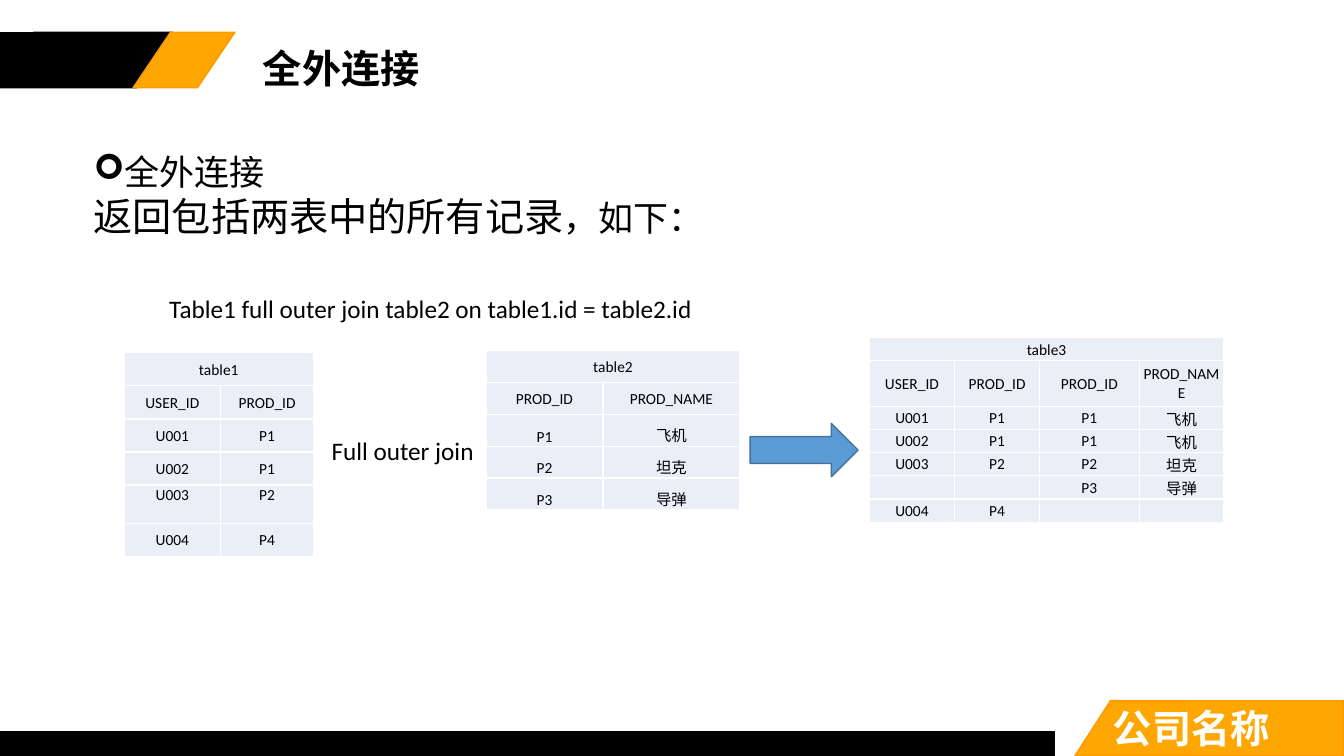
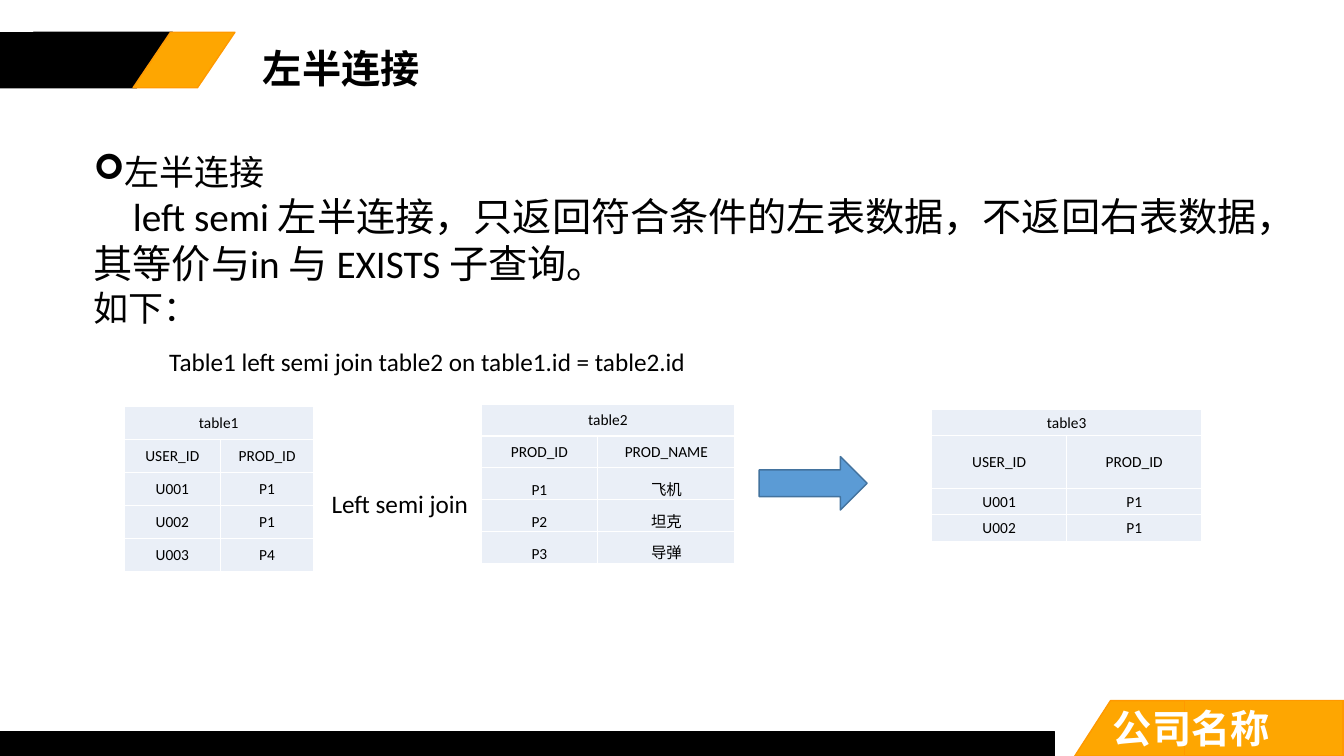
from dataclasses import dataclass, field

from lxml.etree import SubElement
from pptx import Presentation
from pptx.dml.color import RGBColor
from pptx.enum.shapes import MSO_SHAPE as Preset
from pptx.enum.text import MSO_ANCHOR as Anchor, MSO_AUTO_SIZE as AutoSize, PP_ALIGN as Align
from pptx.oxml.ns import qn
from pptx.slide import Slide
from pptx.util import Inches, Pt


@dataclass(frozen=True)
class Theme:
    black: str = "000000"
    white: str = "FFFFFF"
    orange: str = "FEA601"
    orange_edge: str = "FF9900"
    arrow: str = "5B9BD5"
    arrow_edge: str = "43739E"
    cell: str = "EAEFF7"
    body_font: str = "Calibri"
    title_font: str = "Noto Sans CJK SC"
    title_size: int = 28
    lead_size: int = 28
    text_size: int = 25
    label_size: int = 18
    cell_size: int = 11


THEME = Theme()


@dataclass(frozen=True)
class Span:
    text: str
    size: int
    font: str = THEME.body_font
    color: str = THEME.black
    bold: bool = False


@dataclass(frozen=True)
class Line:
    spans: tuple[Span, ...]
    margin: float = 0
    indent: float = 0
    bullet: str = ""
    before: int = 0


@dataclass(frozen=True)
class Figure:
    preset: Preset
    place: tuple[float, float, float, float]
    fill: str
    edge: str
    slant: float | None = None


@dataclass(frozen=True)
class Grid:
    name: str
    left: float
    top: float
    height: float
    columns: tuple[float, ...]
    rows: tuple[tuple[str, ...], ...]
    tall: dict[int, float] = field(default_factory=dict)
    anchors: dict[int, Anchor] = field(default_factory=dict)


@dataclass(frozen=True)
class Lesson:
    title: str
    lines: tuple[Line, ...]
    body_height: float
    join: str
    query_top: float
    arrow_at: tuple[float, float]
    grids: tuple[Grid, ...]


FRAME = (
    Figure(Preset.PARALLELOGRAM, (-0.02, 0.32, 1.73, 0.55), THEME.black, THEME.black, 0.645),
    Figure(Preset.RECTANGLE, (0, 0.32, 1.01, 0.55), THEME.black, THEME.black),
    Figure(Preset.PARALLELOGRAM, (1.32, 0.32, 1.01, 0.55), THEME.orange, THEME.orange_edge, 0.675),
    Figure(Preset.RECTANGLE, (0, 7.26, 10.46, 0.24), THEME.black, THEME.black),
    Figure(Preset.PARALLELOGRAM, (10.66, 6.95, 2.68, 0.55), THEME.orange, THEME.orange_edge, 0.645),
    Figure(Preset.RECTANGLE, (11.75, 6.95, 1.57, 0.55), THEME.orange, THEME.orange_edge),
)


def color_of(code: str) -> RGBColor:
    return RGBColor.from_string(code)


def apply(target: object, formats: dict[str, object]) -> None:
    for name, value in formats.items():
        setattr(target, name, value)


def draw_figure(page: Slide, figure: Figure) -> None:
    shape = page.shapes.add_shape(figure.preset, *map(Inches, figure.place))
    shape.shadow.inherit = False
    shape.fill.solid()
    shape.fill.fore_color.rgb = color_of(figure.fill)
    shape.line.color.rgb = color_of(figure.edge)
    shape.line.width = Pt(1)
    if figure.slant is not None:
        shape.adjustments[0] = figure.slant


def write_span(para, span: Span) -> None:
    run = para.add_run()
    run.text = span.text
    apply(run.font, {"size": Pt(span.size), "name": span.font, "bold": span.bold})
    run.font.color.rgb = color_of(span.color)
    if span.font == THEME.title_font:
        SubElement(run.font._element, qn("a:ea"), typeface=span.font)


def write_line(para, line: Line) -> None:
    if line.before:
        para.space_before = Pt(line.before)
    if line.margin or line.indent:
        properties = para._p.get_or_add_pPr()
        properties.set("marL", str(Inches(line.margin)))
        properties.set("indent", str(Inches(line.indent)))
        if line.bullet:
            SubElement(properties, qn("a:buFont"), typeface="Wingdings")
            SubElement(properties, qn("a:buChar"), char=line.bullet)
    for span in line.spans:
        write_span(para, span)


def draw_text(page: Slide, place: tuple[float, float, float, float], lines: tuple[Line, ...],
              formats: dict[str, object] | None = None) -> None:
    frame = page.shapes.add_textbox(*map(Inches, place)).text_frame
    apply(frame, {"word_wrap": True, "auto_size": AutoSize.SHAPE_TO_FIT_TEXT} | (formats or {}))
    for index, line in enumerate(lines):
        write_line(frame.add_paragraph() if index else frame.paragraphs[0], line)


def draw_label(page: Slide, text: str, place: tuple[float, float, float, float]) -> None:
    draw_text(page, place, (Line((Span(text, THEME.label_size),)),), {"word_wrap": False})


def format_cell(cell, text: str, anchor: Anchor) -> None:
    properties = cell._tc.get_or_add_tcPr()
    for side in "LRTB":
        border = SubElement(properties, qn(f"a:ln{side}"), w=str(Pt(1)))
        paint = SubElement(border, qn("a:solidFill"))
        SubElement(paint, qn("a:srgbClr"), val=THEME.white)
    cell.fill.solid()
    cell.fill.fore_color.rgb = color_of(THEME.cell)
    edge = Inches(0.01)
    apply(cell, {"margin_left": edge, "margin_right": edge, "margin_top": edge,
                 "margin_bottom": 0, "vertical_anchor": anchor})
    para = cell.text_frame.paragraphs[0]
    para.alignment = Align.CENTER
    if text:
        write_span(para, Span(text, THEME.cell_size))
    else:
        SubElement(para._p, qn("a:endParaRPr"), sz=str(THEME.cell_size * 100))


def draw_grid(page: Slide, grid: Grid) -> None:
    width = len(grid.columns)
    rows = ((grid.name,) + ("",) * (width - 1),) + grid.rows
    place = (grid.left, grid.top, sum(grid.columns), grid.height)
    table = page.shapes.add_table(len(rows), width, *map(Inches, place)).table
    apply(table, {"first_row": False, "horz_banding": False})
    for column, size in zip(table.columns, grid.columns):
        column.width = Inches(size)
    shared = (grid.height - sum(grid.tall.values())) / (len(rows) - len(grid.tall))
    for number, texts in enumerate(rows):
        table.rows[number].height = Inches(grid.tall.get(number, shared))
        for place_in_row, text in enumerate(texts):
            format_cell(table.cell(number, place_in_row), text,
                        grid.anchors.get(number, Anchor.MIDDLE))
    table.cell(0, 0).merge(table.cell(0, width - 1))


def draw_frame(page: Slide, title: str) -> None:
    for figure in FRAME:
        draw_figure(page, figure)
    heading = {"size": THEME.title_size, "font": THEME.title_font, "bold": True}
    draw_text(page, (10.94, 6.94, 2.52, 0.57),
              (Line((Span("公司名称", color=THEME.white, **heading),)),))
    draw_text(page, (2.51, 0.32, 5.15, 0.56), (Line((Span(title, **heading),), before=10),),
              {"auto_size": AutoSize.NONE, "margin_top": Inches(0.12),
               "margin_bottom": Inches(0.08)})


def draw_lesson(page: Slide, lesson: Lesson) -> None:
    draw_frame(page, lesson.title)
    topic = Line((Span(lesson.title, THEME.text_size),), 0.31, -0.31, "➢")
    draw_text(page, (0.83, 1.44, 11.81, lesson.body_height), (topic,) + lesson.lines)
    draw_label(page, f"{lesson.join} join", (3.19, lesson.query_top + 1.41, 1.63, 0.4))
    draw_label(page, f"Table1 {lesson.join.lower()} join table2 on table1.id = table2.id",
               (1.58, lesson.query_top, 5.45, 0.4))
    draw_figure(page, Figure(Preset.RIGHT_ARROW, (*lesson.arrow_at, 1.07, 0.53),
                             THEME.arrow, THEME.arrow_edge))
    for grid in lesson.grids:
        draw_grid(page, grid)


def user_grid(top: float, height: float, rows: tuple[tuple[str, ...], ...], **extra) -> Grid:
    return Grid("table1", 1.23, top, height, (0.96, 0.92), (USER_HEAD,) + rows, **extra)


def product_grid(left: float, top: float) -> Grid:
    rows = (("PROD_ID", "PROD_NAME"), ("P1", "飞机"), ("P2", "坦克"), ("P3", "导弹"))
    return Grid("table2", left, top, 1.58, (1.16, 1.36), rows,
                anchors=dict.fromkeys((2, 3, 4), Anchor.BOTTOM))


USER_HEAD = ("USER_ID", "PROD_ID")
FIRST_USERS = (("U001", "P1"), ("U002", "P1"))

LESSONS = (
    Lesson(
        "全外连接",
        (Line((Span("返回包括两表中的所有记录", THEME.lead_size),
               Span("，如下：", THEME.text_size))),),
        0.99, "Full outer", 2.86, (7.44, 4.2),
        (
            user_grid(3.5, 2.02, FIRST_USERS + (("U003", "P2"), ("U004", "P4")),
                      tall={4: 0.38}, anchors={4: Anchor.TOP}),
            product_grid(4.82, 3.48),
            Grid("table3", 8.62, 3.35, 1.83, (0.85, 0.84, 0.99, 0.84),
                 (USER_HEAD + ("PROD_ID", "PROD_NAME"),
                  ("U001", "P1", "P1", "飞机"),
                  ("U002", "P1", "P1", "飞机"),
                  ("U003", "P2", "P2", "坦克"),
                  ("", "", "P3", "导弹"),
                  ("U004", "P4", "", "")), tall={1: 0.45}),
        ),
    ),
    Lesson(
        "左半连接",
        (Line((Span("left semi 左半连接，只返回符合条件的左表数据，不返回右表数据，"
                    "其等价与in 与 EXISTS\u00a0子查询。", THEME.lead_size),), indent=0.39),
         Line((Span("如下：", THEME.text_size),))),
        1.88, "Left semi", 3.39, (7.53, 4.53),
        (
            user_grid(4.03, 1.64, FIRST_USERS + (("U003", "P4"),)),
            product_grid(4.77, 4.01),
            Grid("table3", 9.24, 4.06, 1.31, (1.34, 1.34),
                 (USER_HEAD,) + FIRST_USERS, tall={1: 0.52}),
        ),
    ),
)


def build() -> None:
    deck = Presentation()
    apply(deck, {"slide_width": Inches(13.33), "slide_height": Inches(7.5)})
    for lesson in LESSONS:
        draw_lesson(deck.slides.add_slide(deck.slide_layouts[6]), lesson)
    deck.save("out.pptx")


build()
